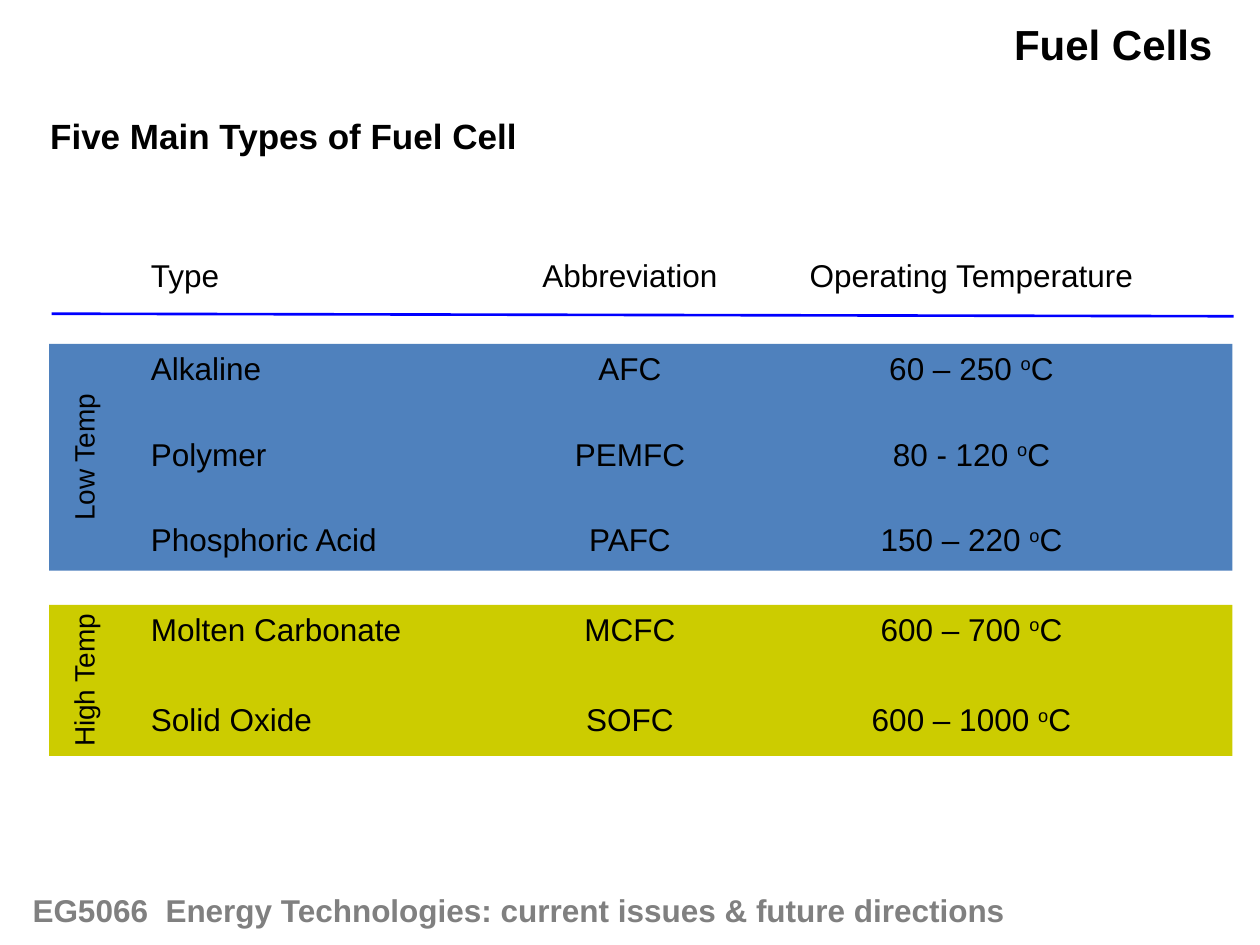
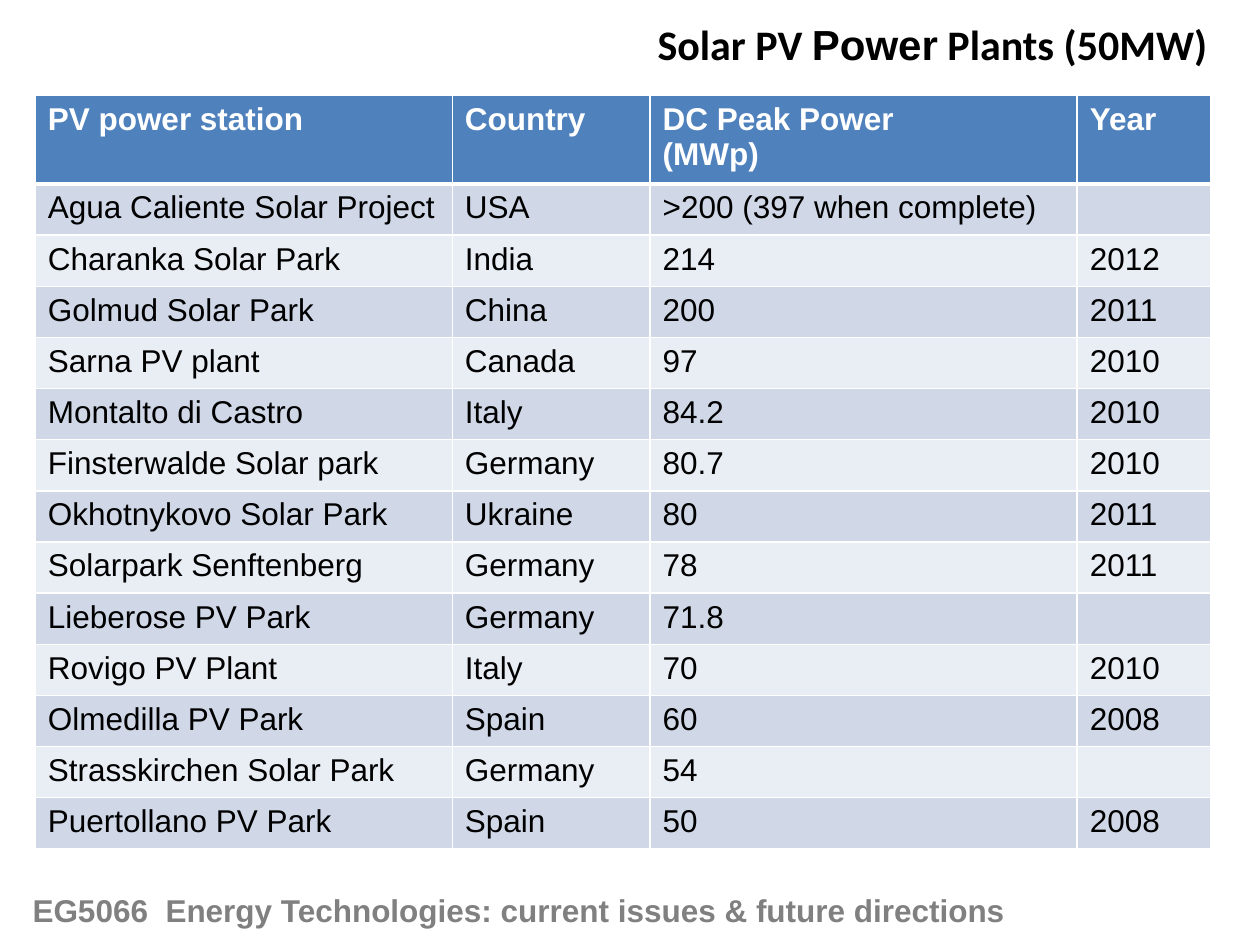
import pptx
import pptx.util
import pptx.dml.color
import pptx.enum.shapes
import pptx.enum.text
import pptx.oxml.ns
import lxml.etree
from dataclasses import dataclass

FOOTER = "EG5066  Energy Technologies: current issues & future directions"

FUEL_TITLE = [("Fuel Cells", "Arial")]
FUEL_HEADING = "Five Main Types of Fuel Cell"
FUEL_HEADERS = ("Type", "Abbreviation", "Operating Temperature")
FUEL_BANDS = [
    {"label": "Low Temp", "fill": "4F81BD", "top": 2.73, "height": 1.8, "step": 0.68,
     "cells": [("Alkaline", "AFC", "60 – 250 "),
               ("Polymer", "PEMFC", "80 - 120 "),
               ("Phosphoric Acid", "PAFC", "150 – 220 ")]},
    {"label": "High Temp", "fill": "CCCC00", "top": 4.8, "height": 1.2, "step": 0.72,
     "cells": [("Molten Carbonate", "MCFC", "600 – 700 "),
               ("Solid Oxide", "SOFC", "600 – 1000 ")]},
]

SOLAR_TITLE = [("Solar PV ", "Calibri"), ("Power", "Arial"), (" Plants (50MW)", "Calibri")]
SOLAR_HEADERS = ("PV power station", "Country", "DC Peak Power\n(MWp)", "Year")
SOLAR_PLANTS = [
    ("Agua Caliente Solar Project", "USA", ">200 (397 when complete)", ""),
    ("Charanka Solar Park", "India", "214", "2012"),
    ("Golmud Solar Park", "China", "200", "2011"),
    ("Sarna PV plant", "Canada", "97", "2010"),
    ("Montalto di Castro", "Italy", "84.2", "2010"),
    ("Finsterwalde Solar park", "Germany", "80.7", "2010"),
    ("Okhotnykovo Solar Park", "Ukraine", "80", "2011"),
    ("Solarpark Senftenberg", "Germany", "78", "2011"),
    ("Lieberose PV Park", "Germany", "71.8", ""),
    ("Rovigo PV Plant", "Italy", "70", "2010"),
    ("Olmedilla PV Park", "Spain", "60", "2008"),
    ("Strasskirchen Solar Park", "Germany", "54", ""),
    ("Puertollano PV Park", "Spain", "50", "2008"),
]
SOLAR_COLUMNS = (3.31, 1.57, 3.39, 1.06)


@dataclass(frozen=True)
class Theme:
    font: str = "Arial"
    text: str = "000000"
    footer: str = "808080"
    rule: str = "0000FF"
    white: str = "FFFFFF"
    header: str = "4F81BD"
    stripes: tuple = ("D0D8E8", "E9EDF4")
    title_size: int = 24
    heading_size: int = 20
    body_size: int = 18
    label_size: int = 16


THEME = Theme()
ALIGN = pptx.enum.text.PP_ALIGN
INCH = pptx.util.Inches
WIDTH, HEIGHT = 10, 7.5
BAND_LEFT, BAND_WIDTH = 0.39, 9.39
HEADER_TOP, LINE_HEIGHT = 1.98, 0.4
FUEL_COLUMNS = [(1.1, 2.6, ALIGN.LEFT), (4.1, 1.8, ALIGN.CENTER), (6.26, 2.9, ALIGN.CENTER)]


def rgb(color):
    return pptx.dml.color.RGBColor.from_string(color)


def style(span, size, color=THEME.text, bold=False, font=THEME.font):
    span.font.name = font
    span.font.size = pptx.util.Pt(size)
    span.font.bold = bold
    span.font.color.rgb = rgb(color)


def add_text(page, area, spans, size, color=THEME.text, bold=False, align=ALIGN.LEFT, wrap=True):
    box = page.shapes.add_textbox(*map(INCH, area))
    box.text_frame.word_wrap = wrap
    para = box.text_frame.paragraphs[0]
    para.alignment = align
    for text, font in spans:
        span = para.add_run()
        span.text = text
        style(span, size, color, bold, font)
    return box


def add_page(deck, title, title_left):
    page = deck.slides.add_slide(deck.slide_layouts[6])
    add_text(page, (title_left, 0.1, 9.73 - title_left, 0.5), title,
             THEME.title_size, bold=True, wrap=False)
    add_text(page, (0.16, 7.02, 8.59, LINE_HEIGHT), [(FOOTER, THEME.font)],
             THEME.body_size, THEME.footer, True)
    return page


def add_fuel_row(page, texts, top):
    for text, (left, width, align) in zip(texts, FUEL_COLUMNS):
        box = add_text(page, (left, top, width, LINE_HEIGHT), [(text, THEME.font)],
                       THEME.body_size, align=align)
    return box.text_frame.paragraphs[0]


def add_degrees(para):
    for text, raised in (("o", True), ("C", False)):
        span = para.add_run()
        span.text = text
        style(span, THEME.body_size)
        if raised:
            span.font._element.set("baseline", "30000")


def add_band(page, band):
    top, height = band["top"], band["height"]
    shape = page.shapes.add_shape(pptx.enum.shapes.MSO_SHAPE.RECTANGLE,
                                  *map(INCH, (BAND_LEFT, top, BAND_WIDTH, height)))
    shape.shadow.inherit = False
    shape.fill.solid()
    shape.fill.fore_color.rgb = rgb(band["fill"])
    shape.line.fill.background()
    label_width, label_height = 1.29, 0.37
    label = add_text(page, (0.02, top + (height - label_height) / 2, label_width, label_height),
                     [(band["label"], THEME.font)], THEME.label_size,
                     align=ALIGN.CENTER, wrap=False)
    label.rotation = 270
    for index, texts in enumerate(band["cells"]):
        add_degrees(add_fuel_row(page, texts, top - 0.01 + index * band["step"]))


def add_rule(page):
    rule = page.shapes.add_connector(pptx.enum.shapes.MSO_CONNECTOR.STRAIGHT,
                                     *map(INCH, (0.41, 2.49, 9.79, 2.51)))
    rule.line.color.rgb = rgb(THEME.rule)
    rule.line.width = pptx.util.Pt(1.5)
    lxml.etree.SubElement(rule._element.spPr, pptx.oxml.ns.qn("a:effectLst"))


def add_fuel_page(deck):
    page = add_page(deck, FUEL_TITLE, 7.95)
    heading = add_text(page, (0.3, 0.81, 4, 0.52), [(FUEL_HEADING, THEME.font)],
                       THEME.heading_size, bold=True)
    heading.text_frame.paragraphs[0].line_spacing = 1.15
    add_fuel_row(page, FUEL_HEADERS, HEADER_TOP)
    add_rule(page)
    for band in FUEL_BANDS:
        add_band(page, band)


def add_borders(cell, widths):
    properties = cell._tc.get_or_add_tcPr()
    for side, width in widths.items():
        line = lxml.etree.SubElement(properties, pptx.oxml.ns.qn("a:ln" + side),
                                     w=str(pptx.util.Pt(width)))
        fill = lxml.etree.SubElement(line, pptx.oxml.ns.qn("a:solidFill"))
        lxml.etree.SubElement(fill, pptx.oxml.ns.qn("a:srgbClr"), val=THEME.white)


def fill_cell(cell, text, row):
    is_header = row == 0
    add_borders(cell, {"L": 1, "R": 1, "T": 3 if row == 1 else 1, "B": 3 if is_header else 1})
    cell.fill.solid()
    cell.fill.fore_color.rgb = rgb(THEME.header if is_header else THEME.stripes[(row - 1) % 2])
    cell.text_frame.text = text
    for para in cell.text_frame.paragraphs:
        para.font.size = pptx.util.Pt(THEME.body_size)
        for span in para.runs:
            style(span, THEME.body_size, THEME.white if is_header else THEME.text, is_header)


def add_solar_page(deck):
    page = add_page(deck, SOLAR_TITLE, 5.12)
    rows = [SOLAR_HEADERS, *SOLAR_PLANTS]
    header_height, plants_height = 0.65, 5.28
    area = (0.28, 0.76, sum(SOLAR_COLUMNS), header_height + plants_height)
    table = page.shapes.add_table(len(rows), len(SOLAR_COLUMNS), *map(INCH, area)).table
    for column, width in zip(table.columns, SOLAR_COLUMNS):
        column.width = INCH(width)
    for index, texts in enumerate(rows):
        height = plants_height / len(SOLAR_PLANTS) if index else header_height
        table.rows[index].height = INCH(height)
        for column, text in enumerate(texts):
            fill_cell(table.cell(index, column), text, index)


def main():
    deck = pptx.Presentation()
    deck.slide_width, deck.slide_height = INCH(WIDTH), INCH(HEIGHT)
    add_fuel_page(deck)
    add_solar_page(deck)
    deck.save("out.pptx")


if __name__ == "__main__":
    main()
